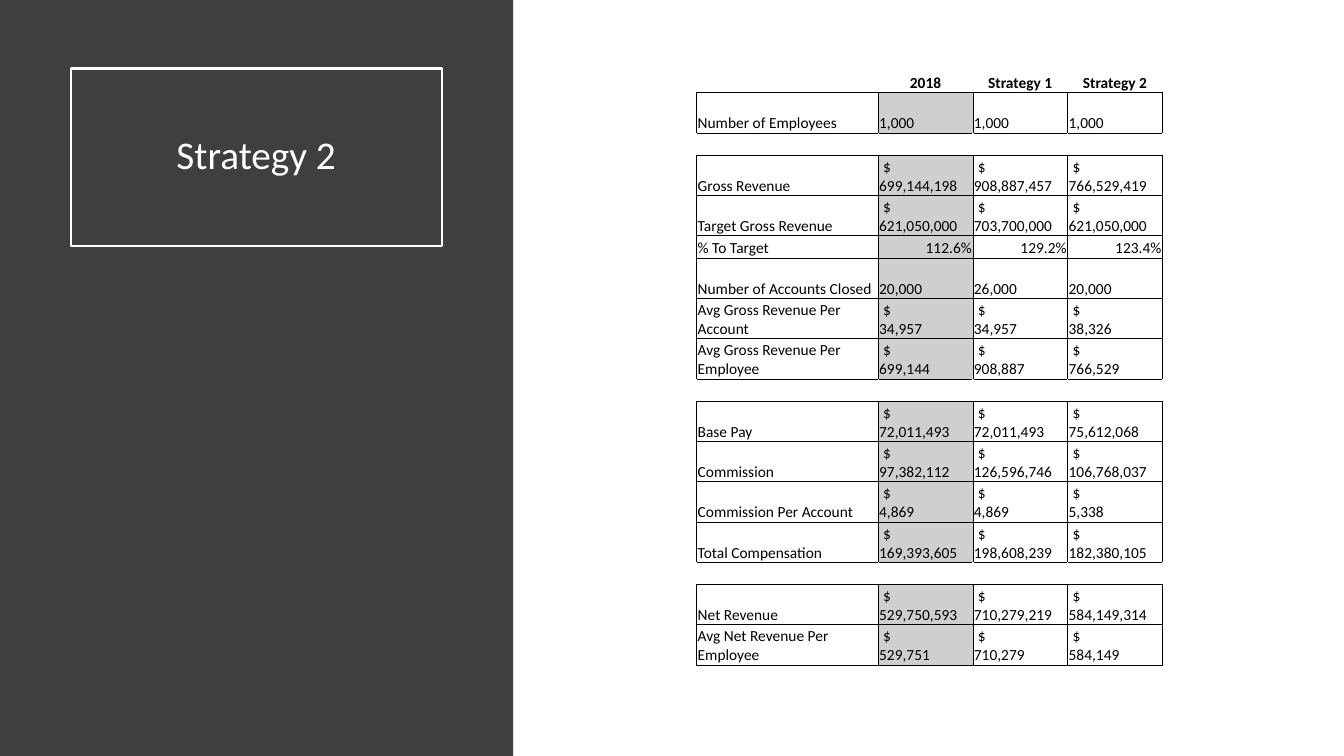
from lxml import etree
from pptx import Presentation, util as u
from pptx.dml.color import RGBColor
from pptx.enum import shapes, text
from pptx.oxml.ns import qn

WHITE = RGBColor(0xFF, 0xFF, 0xFF)
BLACK = RGBColor(0, 0, 0)
CHARCOAL = RGBColor(0x3F, 0x3F, 0x3F)
GREY = RGBColor(0xD0, 0xCE, 0xCE)
FONT = "Calibri"

TITLE = "Strategy 2"
HEADER = ("", "2018", "Strategy 1", "Strategy 2")
GAP = ("", "", "", "")
ROWS = [
    HEADER,
    ("Number of Employees", "1,000", "1,000", "1,000"),
    GAP,
    ("Gross Revenue", "$ 699,144,198", "$ 908,887,457", "$ 766,529,419"),
    ("Target Gross Revenue", "$ 621,050,000", "$ 703,700,000", "$ 621,050,000"),
    ("% To Target", "112.6%", "129.2%", "123.4%"),
    ("Number of Accounts Closed", "20,000", "26,000", "20,000"),
    ("Avg Gross Revenue Per Account", "$ 34,957", "$ 34,957", "$ 38,326"),
    ("Avg Gross Revenue Per Employee", "$ 699,144", "$ 908,887", "$ 766,529"),
    GAP,
    ("Base Pay", "$ 72,011,493", "$ 72,011,493", "$ 75,612,068"),
    ("Commission", "$ 97,382,112", "$ 126,596,746", "$ 106,768,037"),
    ("Commission Per Account", "$ 4,869", "$ 4,869", "$ 5,338"),
    ("Total Compensation", "$ 169,393,605", "$ 198,608,239", "$ 182,380,105"),
    GAP,
    ("Net Revenue", "$ 529,750,593", "$ 710,279,219", "$ 584,149,314"),
    ("Avg Net Revenue Per Employee", "$ 529,751", "$ 710,279", "$ 584,149"),
]
COLUMNS = (1.8, 0.94, 0.94, 0.94)
SHORT, TALL = 0.22, 0.4


def add_span(para, words, size, color, bold=False):
    span = para.add_run()
    span.text = words
    span.font.name = FONT
    span.font.size = u.Pt(size)
    span.font.bold = bold
    span.font.color.rgb = color


def add_borders(cell, sides):
    props = cell._tc.get_or_add_tcPr()
    for side in sides:
        line = etree.SubElement(props, qn(f"a:ln{side}"), w=str(u.Pt(0.5)))
        fill = etree.SubElement(line, qn("a:solidFill"))
        etree.SubElement(fill, qn("a:srgbClr"), val=str(BLACK))


def fill_cell(cell, words, row, column):
    header, gap = row is HEADER, row is GAP
    cell.margin_left = cell.margin_right = cell.margin_top = u.Inches(0.01)
    cell.margin_bottom = 0
    cell.vertical_anchor = text.MSO_ANCHOR.BOTTOM
    add_borders(cell, "B" if header else "TB" if gap else "LRTB")
    cell.fill.solid()
    cell.fill.fore_color.rgb = GREY if column == 1 and not (header or gap) else WHITE

    para = cell.text_frame.paragraphs[0]
    if not words:
        etree.SubElement(para._p, qn("a:endParaRPr"), sz="1100")
        return
    if header:
        para.alignment = text.PP_ALIGN.CENTER
    elif words.endswith("%"):
        para.alignment = text.PP_ALIGN.RIGHT
    if words.startswith("$"):
        sign, words = words.split()
        para._p.get_or_add_pPr().set("indent", str(u.Inches(0.04)))
        add_span(para, sign, 11, BLACK)
        para.add_line_break()
    add_span(para, words, 11, BLACK, header)


def add_figures(page):
    heights = [SHORT if row in (HEADER, GAP) or row[1].endswith("%") else TALL
               for row in ROWS]
    frame = page.shapes.add_table(
        len(ROWS), len(COLUMNS), u.Inches(6.91), u.Inches(0.7),
        u.Inches(sum(COLUMNS)), u.Inches(sum(heights)))
    table = frame.table
    table.first_row = table.horz_banding = False
    for column, width in zip(table.columns, COLUMNS):
        column.width = u.Inches(width)
    for r, (row, height) in enumerate(zip(ROWS, heights)):
        table.rows[r].height = u.Inches(height)
        for c, words in enumerate(row):
            fill_cell(table.cell(r, c), words, row, c)


def add_title(page, deck):
    title = page.shapes.title
    panel = page.shapes.add_shape(
        shapes.MSO_SHAPE.RECTANGLE, 0, 0, u.Inches(5.09), deck.slide_height)
    panel.shadow.inherit = False
    panel.fill.solid()
    panel.fill.fore_color.rgb = CHARCOAL
    panel.line.fill.background()
    title._element.addprevious(panel._element)

    title.left, title.top = u.Inches(0.7), u.Inches(0.68)
    title.width, title.height = u.Inches(3.68), u.Inches(1.76)
    title.line.color.rgb = WHITE
    title.line.width = u.Pt(1.5)
    box = title.text_frame
    box.word_wrap = True
    box.auto_size = text.MSO_AUTO_SIZE.NONE
    box.vertical_anchor = text.MSO_ANCHOR.MIDDLE
    para = box.paragraphs[0]
    para.alignment = text.PP_ALIGN.CENTER
    para.line_spacing = 0.9
    add_span(para, TITLE, 28, WHITE)


def main():
    deck = Presentation()
    deck.slide_width, deck.slide_height = u.Inches(13.33), u.Inches(7.5)
    page = deck.slides.add_slide(deck.slide_layouts[5])
    add_title(page, deck)
    add_figures(page)
    deck.save("out.pptx")


if __name__ == "__main__":
    main()
